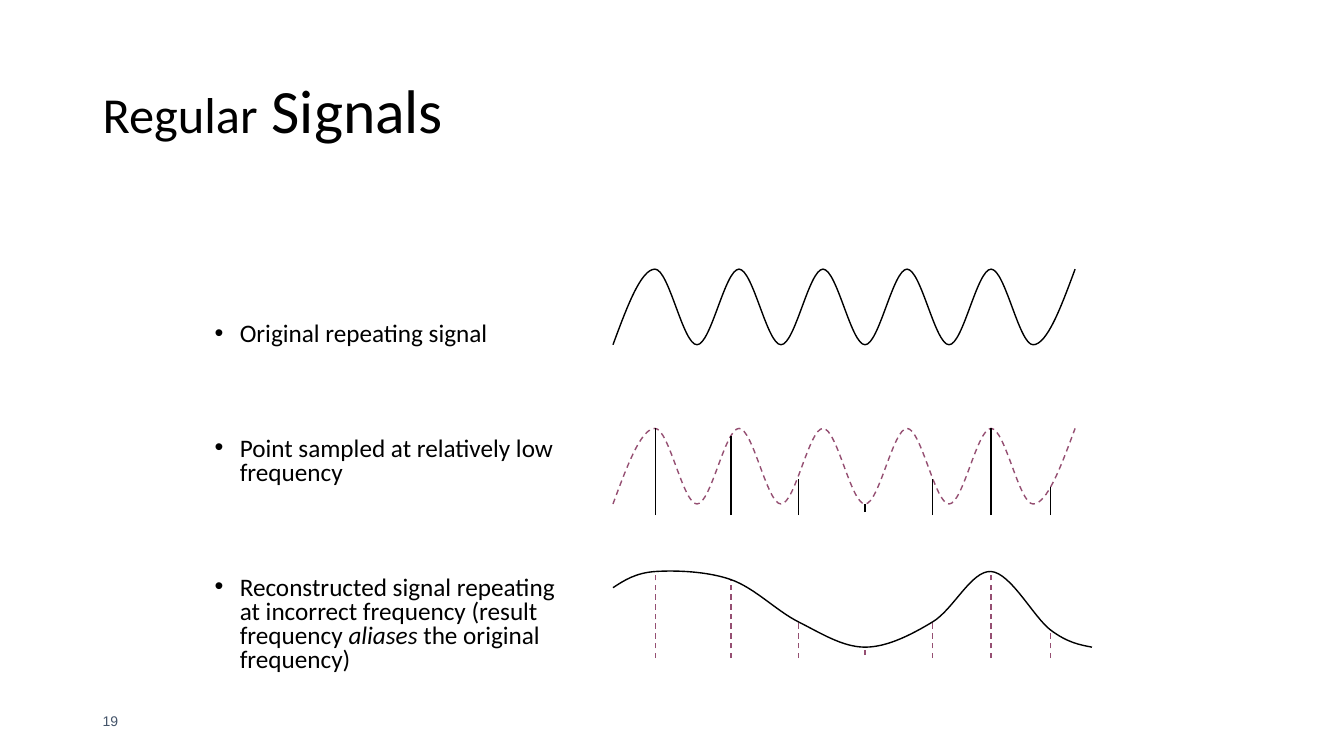
from lxml import etree
from pptx import Presentation
from pptx import util as u
from pptx.dml.color import RGBColor
from pptx.enum import dml, shapes, text
from pptx.oxml import ns

BLACK, PLUM, SLATE = "000000", "954F72", "44546A"

TITLE = [[("Regular", {"size": 36}), (" Signals", {"size": 44})]]
PAGE_NUMBER = [[("19", {"size": 10, "name": "Arial", "color": SLATE})]]
BULLETS = [
    [("Original repeating signal", {})],
    [("Point sampled at relatively low frequency", {})],
    [("Reconstructed signal repeating at incorrect frequency (result frequency ", {}),
     ("aliases", {"italic": True}),
     (" the original frequency)", {})],
]

# Signal geometry in inches
SIGNAL_LEFT, HALF_WAVE, KNOTS = 6.08, 5 / 12, 12
AMPLITUDE = 0.75
ORIGINAL_TOP, SAMPLED_TOP = 2.67, 4.25
RECONSTRUCTED_SHIFT = 1.42
# (x, top, bottom) of each sample
SAMPLES = [
    (6.5, 4.25, 5.11), (7.25, 4.33, 5.11), (7.92, 4.75, 5.11), (8.58, 5, 5.08),
    (9.25, 4.75, 5.11), (9.83, 4.25, 5.11), (10.42, 4.83, 5.11),
]
RECONSTRUCTED_START, RECONSTRUCTED_END = (6.08, 5.83), (10.83, 6.42)


def rgb(value):
    return RGBColor.from_string(value)


def add_text(slide, box, paragraphs, size=18, anchor=text.MSO_ANCHOR.TOP, spacing=1.0):
    shape = slide.shapes.add_textbox(*map(u.Inches, box))
    frame = shape.text_frame
    frame.word_wrap = True
    frame.vertical_anchor = anchor
    for index, runs in enumerate(paragraphs):
        paragraph = frame.paragraphs[0] if index == 0 else frame.add_paragraph()
        paragraph.line_spacing = spacing
        for words, changes in runs:
            run = paragraph.add_run()
            run.text = words
            values = {"name": "Calibri", "size": size, "color": BLACK, **changes}
            run.font.color.rgb = rgb(values.pop("color"))
            values["size"] = u.Pt(values["size"])
            for key, value in values.items():
                setattr(run.font, key, value)
    return frame


def add_bullet(paragraph):
    properties = paragraph._p.get_or_add_pPr()
    properties.set("marL", str(u.Inches(0.25)))
    properties.set("indent", str(-u.Inches(0.25)))
    font = etree.SubElement(properties, ns.qn("a:buFont"))
    font.set("typeface", "Arial")
    etree.SubElement(properties, ns.qn("a:buChar")).set("char", "•")


def style_line(shape, color, dashed):
    shape.line.color.rgb = rgb(color)
    shape.line.width = u.Pt(1)
    if dashed:
        shape.line.dash_style = dml.MSO_LINE.DASH


def add_stem(slide, x, top, bottom, color, dashed=False):
    stem = slide.shapes.add_connector(
        shapes.MSO_CONNECTOR.STRAIGHT, *map(u.Inches, (x, bottom, x, top)))
    style_line(stem, color, dashed)
    etree.SubElement(stem._element.spPr, ns.qn("a:effectLst"))


def curve_points(knots):
    """Knots and Bezier handles of a Catmull-Rom curve with relaxed ends."""
    def middle(a, b):
        return tuple((p + q) / 2 for p, q in zip(a, b))

    def handle(index, sign):
        before, after = knots[index - 1], knots[index + 1]
        return tuple(k + sign * (a - b) / 6
                     for k, a, b in zip(knots[index], after, before))

    points = [knots[0]]
    last = len(knots) - 1
    for index in range(last):
        start, end = knots[index], knots[index + 1]
        leave = handle(index, 1) if index > 0 else middle(start, handle(1, -1))
        arrive = handle(index + 1, -1) if index + 1 < last else middle(end, leave)
        points += [leave, arrive, end]
    return points


def add_curve(slide, knots, color, dashed=False):
    points = [tuple(map(u.Inches, point)) for point in curve_points(knots)]
    builder = slide.shapes.build_freeform(*points[0])
    builder.add_line_segments(points[1:], close=False)
    curve = builder.convert_to_shape()
    # Every three line segments become one cubic segment
    segments = list(curve._element.iter(ns.qn("a:lnTo")))
    for first in range(0, len(segments), 3):
        cubic = etree.Element(ns.qn("a:cubicBezTo"))
        segments[first].addprevious(cubic)
        for segment in segments[first:first + 3]:
            cubic.append(segment[0])
            segment.getparent().remove(segment)
    curve.fill.background()
    curve.shadow.inherit = False
    style_line(curve, color, dashed)


def wave(top):
    return [(SIGNAL_LEFT + i * HALF_WAVE, top + (AMPLITUDE if i % 2 == 0 else 0))
            for i in range(KNOTS)]


def main():
    presentation = Presentation()
    presentation.slide_width = u.Inches(13.33)
    presentation.slide_height = u.Inches(7.5)
    slide = presentation.slides.add_slide(presentation.slide_layouts[6])

    middle = text.MSO_ANCHOR.MIDDLE
    add_text(slide, (0.92, 6.95, 3, 0.4), PAGE_NUMBER, anchor=middle)
    add_text(slide, (0.92, 0.4, 11.5, 1.45), TITLE, anchor=middle, spacing=0.9)
    body = add_text(slide, (2.03, 2.33, 3.81, 4.5), BULLETS, spacing=0.8)
    body.margin_top = u.Inches(0.88)
    for index, paragraph in enumerate(body.paragraphs):
        paragraph.space_before = u.Pt(64.5 if index else 0)
        add_bullet(paragraph)

    add_curve(slide, wave(ORIGINAL_TOP), BLACK)
    add_curve(slide, wave(SAMPLED_TOP), PLUM, dashed=True)
    for x, top, bottom in SAMPLES:
        add_stem(slide, x, top, bottom, BLACK)
        add_stem(slide, x, top + RECONSTRUCTED_SHIFT, bottom + RECONSTRUCTED_SHIFT,
                 PLUM, dashed=True)
    peaks = [(x, top + RECONSTRUCTED_SHIFT) for x, top, _ in SAMPLES]
    add_curve(slide, [RECONSTRUCTED_START, *peaks, RECONSTRUCTED_END], BLACK)

    presentation.save("out.pptx")


if __name__ == "__main__":
    main()
